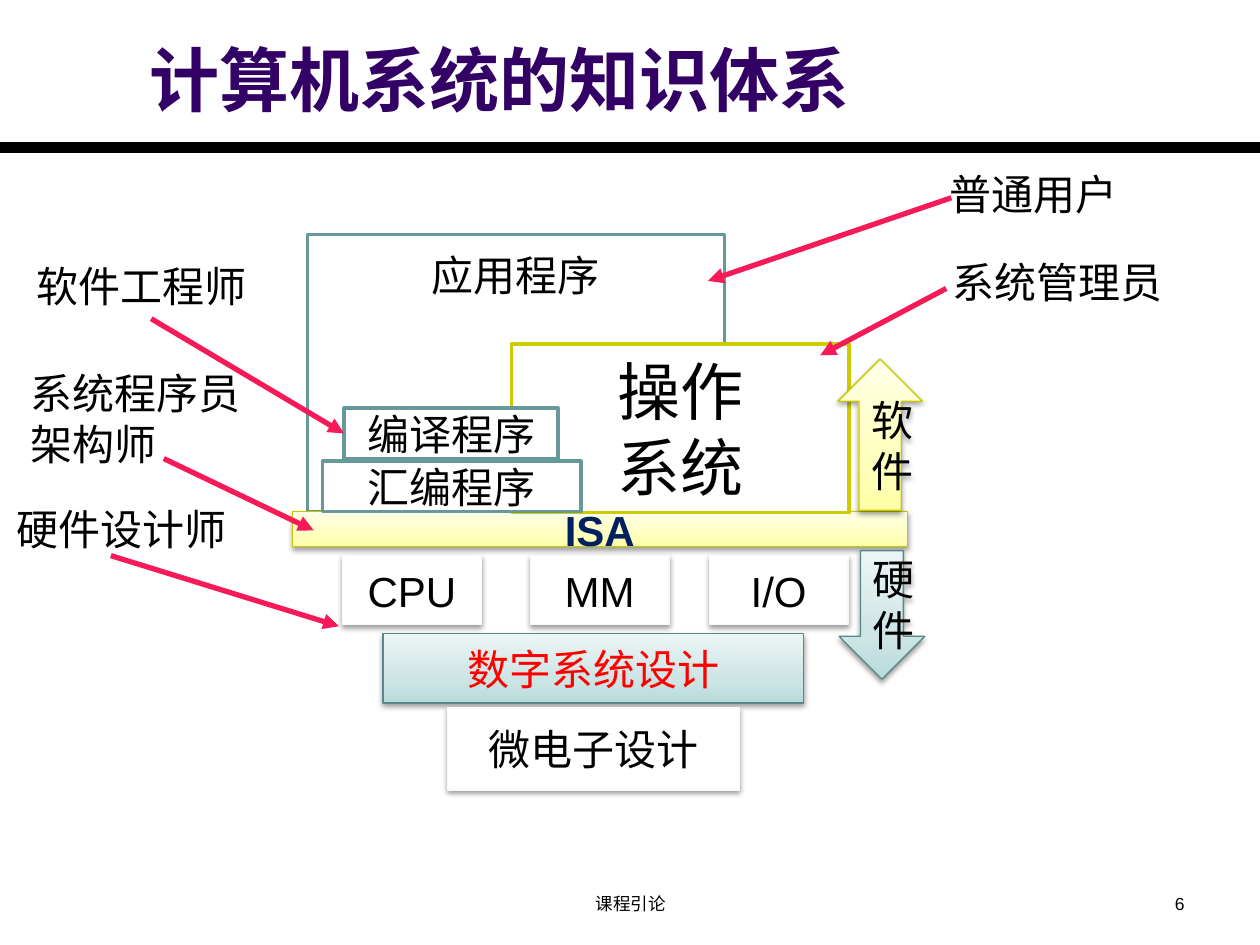
from lxml.etree import SubElement
from pptx import Presentation
from pptx.dml.color import RGBColor
from pptx.enum.shapes import MSO_CONNECTOR, MSO_SHAPE
from pptx.enum.text import MSO_ANCHOR, MSO_AUTO_SIZE, PP_ALIGN
from pptx.oxml import parse_xml
from pptx.oxml.ns import nsdecls, qn
from pptx.util import Inches, Pt

WIDE, HIGH = Inches(10), Inches(7.5)
HEX = {
    "ink": "000000", "white": "FFFFFF", "title": "330066", "navy": "002060",
    "red": "FF0000", "teal": "669999", "gold": "CCCC00", "pink": "F61A59",
}
LOOKS = {
    "yellow": ("C8C800", ["FFFFA5", "FFFFBF", "FFFFE7"]),
    "green": ("598888", ["B9DBDB", "CEE5E5", "ECF5F5"]),
    "plain": ("F9F9F9", None),
}
STOPS = [0, 35000, 100000]
RECT, UP, DOWN = MSO_SHAPE.RECTANGLE, MSO_SHAPE.UP_ARROW, MSO_SHAPE.DOWN_ARROW
LEFT, MID, RIGHT = PP_ALIGN.LEFT, PP_ALIGN.CENTER, PP_ALIGN.RIGHT

# Places are left, top, width, height in percent of the slide.
TITLE = ("计算机系统的知识体系", (10.9, 2.67, 75.5, 10.8))
APP = ("应用程序", (24.4, 24.8, 33.1, 29.33), "teal", 24)
RAISED = [
    ("ISA", (23.2, 54.13, 48.8, 3.73), "yellow", "navy", RECT),
    ("CPU", (27.2, 58.8, 11, 7.33), "plain", "ink", RECT),
    ("MM", (42.1, 58.8, 11, 7.33), "plain", "ink", RECT),
    ("I/O", (56.3, 58.8, 11, 7.33), "plain", "ink", RECT),
    ("数字系统设计", (30.4, 67.07, 33.4, 7.33), "green", "red", RECT),
    ("微电子设计", (35.5, 74.93, 23.2, 8.67), "plain", "ink", RECT),
]
FRAMES = [
    ("操作\n系统", (40.6, 36.4, 26.8, 17.87), "gold", 36),
    ("编译程序", (27.3, 43.2, 17, 5.33), "teal", 24),
    ("汇编程序", (25.6, 48.8, 20.5, 5.33), "teal", 24),
]
ARROWS = [
    ("软件", (66.5, 38, 6.7, 16), "yellow", "ink", UP),
    ("硬件", (66.6, 58.27, 6.8, 13.6), "green", "ink", DOWN),
]
LABELS = [
    ("课程引论", (34.2, 93.87, 31.7, 3.87), 10, MID),
    ("6", (71.7, 93.87, 23.3, 3.87), 10, RIGHT),
    ("普通用户", (74.4, 17.2, 15.7, 6.67), 24, LEFT),
    ("系统管理员", (74.6, 26.53, 19.9, 6.67), 24, LEFT),
    ("硬件设计师", (0.3, 52.67, 19.9, 6.67), 24, LEFT),
    ("软件工程师", (1.9, 26.93, 20.1, 6.67), 24, LEFT),
    ("系统程序员架构师", (1.4, 38.27, 20.1, 12.13), 24, LEFT),
]
RULE = (0, 15.6, 100, 15.6)
LINKS = [
    ((75.5, 20.93, 56.2, 29.73), None),
    ((75.1, 30.53, 65.1, 37.6), None),
    ((12, 33.73, 27.3, 45.87), "编译程序"),
    ((13, 48.53, 24.9, 56.13), None),
    ((8.8, 58.8, 26.9, 66.27), None),
]


def rgb(name):
    return RGBColor.from_string(HEX.get(name, name))


def scale(place):
    return [round(n * side / 100) for n, side in zip(place, (WIDE, HIGH) * 2)]


def write(shape, text, size, tint="ink", align=MID, bold=False):
    frame = shape.text_frame
    frame.word_wrap = True
    frame.text = text
    for par in frame.paragraphs:
        par.alignment = align
        font = par.font
        font.name, font.size, font.bold = "Arial", Pt(size), bold
        font.color.rgb = rgb(tint)
    return frame


def block(kind, place, edge, width):
    shape = slide.shapes.add_shape(kind, *scale(place))
    shape.shadow.inherit = False
    shape.fill.solid()
    shape.fill.fore_color.rgb = rgb("white")
    shape.line.color.rgb = rgb(edge)
    shape.line.width = Pt(width)
    return shape


def outline(text, place, edge, size):
    shape = block(RECT, place, edge, 2)
    write(shape, text, size).vertical_anchor = MSO_ANCHOR.MIDDLE
    return shape


def shade(shape, hues):
    stops = "".join(
        f'<a:gs pos="{pos}"><a:srgbClr val="{hue}"/></a:gs>'
        for pos, hue in zip(STOPS, hues))
    grad = parse_xml(
        f'<a:gradFill {nsdecls("a")} rotWithShape="1"><a:gsLst>{stops}</a:gsLst>'
        '<a:lin ang="16200000" scaled="0"/></a:gradFill>')
    props = shape._element.spPr
    props.replace(props.find(qn("a:solidFill")), grad)


def lift(shape):
    glow = shape._element.spPr.find(qn("a:effectLst"))
    cast = SubElement(glow, qn("a:outerShdw"), blurRad="40000", dist="20000",
                      dir="5400000", rotWithShape="0")
    tone = SubElement(cast, qn("a:srgbClr"), val=HEX["ink"])
    SubElement(tone, qn("a:alpha"), val="38000")


def raised(text, place, look, tint, kind):
    edge, hues = LOOKS[look]
    shape = block(kind, place, edge, 0.75)
    if hues:
        shade(shape, hues)
    lift(shape)
    frame = write(shape, text, 24, tint, bold=text == "ISA")
    frame.vertical_anchor = MSO_ANCHOR.MIDDLE


def stroke(ends, tint, width, head=False):
    line = slide.shapes.add_connector(MSO_CONNECTOR.STRAIGHT, *scale(ends))
    line.line.color.rgb = rgb(tint)
    line.line.width = Pt(width)
    props = line._element.spPr
    if head:
        SubElement(props.find(qn("a:ln")), qn("a:tailEnd"), type="triangle")
    SubElement(props, qn("a:effectLst"))
    return line


deck = Presentation()
deck.slide_width, deck.slide_height = WIDE, HIGH
slide = deck.slides.add_slide(deck.slide_layouts[5])

stroke(RULE, "ink", 6)
app = outline(*APP)
app.text_frame.vertical_anchor = MSO_ANCHOR.TOP
app.text_frame.margin_top = Inches(0.12)

text, place = TITLE
title = slide.shapes.title
title.left, title.top, title.width, title.height = scale(place)
frame = write(title, text, 40, "title", LEFT, True)
frame.auto_size = MSO_AUTO_SIZE.NONE
frame.vertical_anchor = MSO_ANCHOR.BOTTOM

for item in RAISED:
    raised(*item)
boxes = {item[0]: outline(*item) for item in FRAMES}
for text, place, size, align in LABELS:
    write(slide.shapes.add_textbox(*scale(place)), text, size, align=align)
for ends, goal in LINKS:
    line = stroke(ends, "pink", 3, True)
    if goal:
        line.end_connect(boxes[goal], 1)
for item in ARROWS:
    raised(*item)

deck.save("out.pptx")
